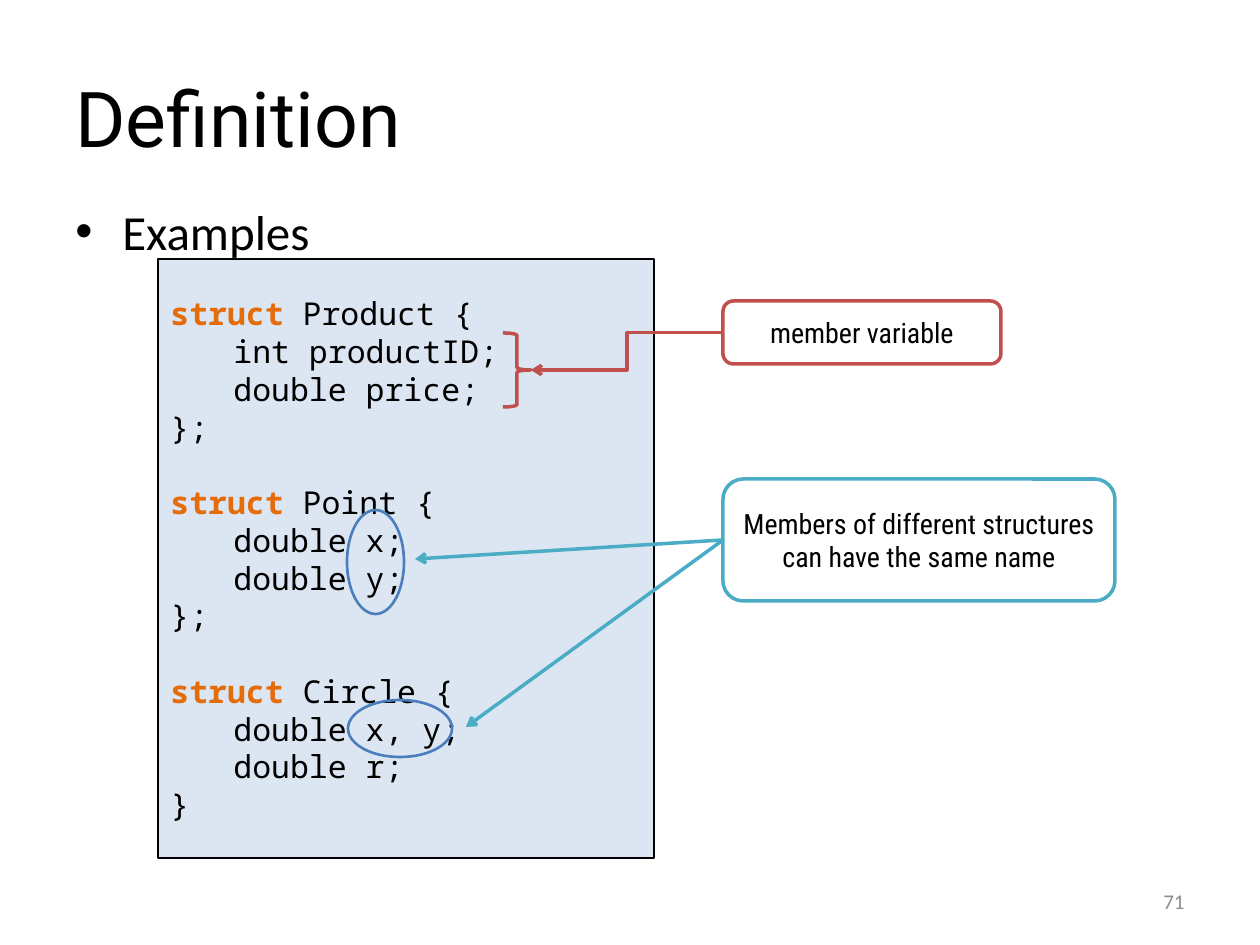
from lxml.etree import SubElement as Sub
from pptx import Presentation
from pptx.dml.color import RGBColor as Rgb
from pptx.enum.shapes import MSO_CONNECTOR as Link, MSO_SHAPE as Kind
from pptx.enum.text import MSO_ANCHOR as Anchor, PP_ALIGN as Align
from pptx.oxml.ns import qn
from pptx.util import Pt

PX = 914400 / 126
HUE = {"ink": "000000", "gray": "8C8C8C", "panel": "DCE6F2", "paper": "FFFFFF",
       "key": "E46C0A", "red": "C0504D", "teal": "4BACC6", "ring": "4B7EBC"}
CODE = [
    ["struct Product {", "\tint productID;", "\tdouble price;", "};"],
    ["struct Point {", "\tdouble x;", "\tdouble y;", "};"],
    ["struct Circle {", "\tdouble x, y;", "\tdouble r;", "}"],
]


def px(*nums):
    return [round(n * PX) for n in nums]


def rgb(name):
    return Rgb.from_string(HUE[name])


def style(run, face, size, hue="ink", bold=False):
    font = run.font
    font.name, font.size, font.bold = face, Pt(size), bold
    font.color.rgb = rgb(hue)


def label(slide, box, text, face, size, hue="ink", align=Align.LEFT, anchor=Anchor.MIDDLE):
    frame = slide.shapes.add_textbox(*px(*box)).text_frame
    frame.word_wrap = True
    frame.vertical_anchor = anchor
    frame.text = text
    para = frame.paragraphs[0]
    para.alignment = align
    style(para.runs[0], face, size, hue)
    return para


def shape(slide, kind, box, line, width, fill=None):
    item = slide.shapes.add_shape(kind, *px(*box))
    item.shadow.inherit = False
    item.line.color.rgb = rgb(line)
    item.line.width = Pt(width)
    if fill:
        item.fill.solid()
        item.fill.fore_color.rgb = rgb(fill)
    else:
        item.fill.background()
    return item


def arrow(slide, kind, start, end, hue):
    item = slide.shapes.add_connector(kind, *px(*start, *end))
    item.line.color.rgb = rgb(hue)
    item.line.width = Pt(2)
    Sub(item.line._get_or_add_ln(), qn("a:tailEnd"), type="arrow")
    Sub(item._element.spPr, qn("a:effectLst"))


def bullet(slide, box, text):
    para = label(slide, box, text, "Calibri", 28, anchor=Anchor.TOP)
    para.space_before = Pt(5.6)
    props = para._p.get_or_add_pPr()
    indent = px(47)[0]
    props.set("marL", str(indent))
    props.set("indent", str(-indent))
    Sub(props, qn("a:buFont"), typeface="Arial")
    Sub(props, qn("a:buChar"), char="•")


def code(slide, box):
    frame = shape(slide, Kind.RECTANGLE, box, "ink", 0.75, "panel").text_frame
    frame.word_wrap = True
    frame.vertical_anchor = Anchor.MIDDLE
    rows = [row for block in CODE for row in block]
    frame.text = "\n".join(rows)
    for row, para in zip(rows, frame.paragraphs):
        para.alignment = Align.LEFT
        head, gap, rest = row.partition("struct ")
        if gap:
            para.text = gap
            para.add_run().text = rest
            if row != rows[0]:
                para.space_before = Pt(21.5)
        else:
            tabs = Sub(para._p.get_or_add_pPr(), qn("a:tabLst"))
            Sub(tabs, qn("a:tab"), pos=str(px(63)[0]), algn="l")
        for run in para.runs:
            key = run.text == "struct "
            style(run, "Noto Sans Mono", 18, "key" if key else "ink", key)


def marks(slide, box):
    left, top = box[:2]
    for kind, x, y, w, h, hue, width in [
        (Kind.RIGHT_BRACE, 345, 74, 28, 74, "red", 2),
        (Kind.OVAL, 189, 251, 57, 104, "ring", 1.5),
        (Kind.OVAL, 190, 441, 104, 57, "ring", 1.5),
    ]:
        shape(slide, kind, (left + x, top + y, w, h), hue, width)


def note(slide, box, text, hue, kind, ends):
    frame = shape(slide, Kind.ROUNDED_RECTANGLE, box, hue, 2, "paper").text_frame
    frame.word_wrap = True
    frame.vertical_anchor = Anchor.MIDDLE
    frame.text = text
    para = frame.paragraphs[0]
    para.alignment = Align.CENTER
    style(para.runs[0], "Roboto Condensed", 16)
    left, top, wide, high = box
    for end in ends:
        arrow(slide, kind, (left, top + high / 2), end, hue)


def main():
    deck = Presentation()
    deck.slide_width, deck.slide_height = px(1260, 945)
    slide = deck.slides.add_slide(deck.slide_layouts[6])
    panel = (158, 259, 496, 599)
    label(slide, (63, 38, 1134, 157), "Definition", "Roboto", 44)
    bullet(slide, (63, 195, 1134, 649), "Examples")
    label(slide, (903, 876, 294, 50), "71", "Calibri", 12, "gray", Align.RIGHT)
    code(slide, panel)
    note(slide, (723, 301, 278, 63), "member variable", "red", Link.ELBOW, [(531, 370)])
    note(slide, (723, 479, 392, 122), "Members of different structures can have the same name",
         "teal", Link.STRAIGHT, [(415, 559), (466, 727)])
    marks(slide, panel)
    deck.save("out.pptx")


if __name__ == "__main__":
    main()
